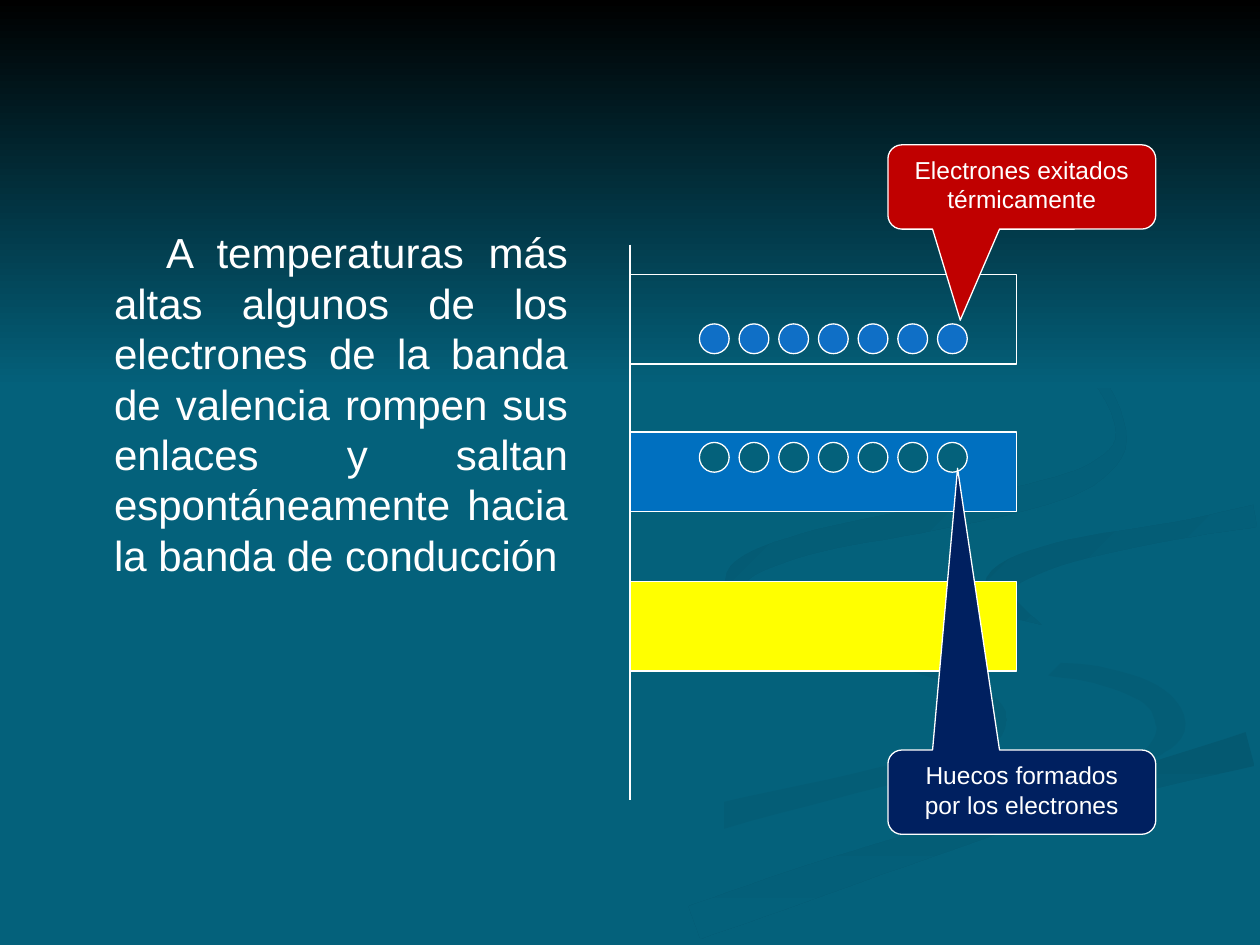
"""Build a slide on thermally excited electrons in the energy bands of a solid."""
from dataclasses import dataclass
from math import hypot

from lxml import etree
from pptx import Presentation
from pptx.dml.color import RGBColor
from pptx.enum.shapes import MSO_CONNECTOR as Connector, MSO_SHAPE as Shape
from pptx.enum.text import MSO_ANCHOR as Anchor, PP_ALIGN as Align
from pptx.oxml.ns import qn
from pptx.util import Cm, Pt

WHITE = RGBColor(0xFF, 0xFF, 0xFF)
BLACK = RGBColor(0x00, 0x00, 0x00)
TEAL = RGBColor(0x04, 0x61, 0x7B)
TEAL_SHADE = RGBColor(0x04, 0x5D, 0x76)
TEAL_DARK = RGBColor(0x04, 0x59, 0x71)
BLUE = RGBColor(0x00, 0x70, 0xC0)
ELECTRON_BLUE = RGBColor(0x0F, 0x6F, 0xC6)
YELLOW = RGBColor(0xFF, 0xFF, 0x00)
RED = RGBColor(0xC0, 0x00, 0x00)
NAVY = RGBColor(0x00, 0x20, 0x60)

RIGHTWARD, DIAGONAL, DOWNWARD = 0, 315, 270
STEPS_PER_KNOT = 6
UNITS_PER_CM = 100


@dataclass
class Ribbon:
    start_color: RGBColor
    end_color: RGBColor
    angle: int
    knots: tuple  # (x, y, thickness) along the centre line, in centimetres


LOWER_RIBBON = Ribbon(TEAL, TEAL_SHADE, RIGHTWARD, (
    (14.6, 11.7, 0), (14.7, 12.2, 0.1), (16.3, 12.9, 0.15), (18.2, 13.4, 0.15),
    (19.6, 13.9, 0.2), (20.1, 14.5, 0.4), (19.4, 15.2, 0.4), (17.2, 15.8, 0.4),
    (14, 16.6, 0.55), (11.2, 17.6, 0.7), (9, 18.5, 0.6)))
CURL_RIBBON = Ribbon(TEAL, TEAL_SHADE, DIAGONAL, (
    (18.4, 11.8, 0), (19.2, 12.7, 0.15), (20.8, 13.4, 0.25), (22.1, 13.6, 0.35),
    (23.2, 14, 0.45), (23.6, 14.6, 0.6), (23.3, 15.1, 0.3), (22.7, 15.4, 0)))
SWEEP_RIBBON = Ribbon(TEAL_DARK, TEAL, DOWNWARD, (
    (25.2, 15.1, 0.7), (21.6, 16.1, 0.45), (18.1, 17.2, 0.6), (16, 17.9, 0.7),
    (14, 18.6, 0.7)))
EDGE_RIBBON = Ribbon(TEAL_DARK, TEAL, DIAGONAL, (
    (25.3, 10.4, 0.45), (23.7, 10.7, 0.35), (21.6, 11.1, 0.45), (20.3, 11.6, 0.55),
    (20.2, 12.1, 0.5), (21, 12.6, 0)))
UPPER_RIBBON = Ribbon(TEAL_DARK, TEAL, DIAGONAL, (
    (19.4, 5.9, 0), (21.8, 7.3, 0.2), (22.6, 8.7, 0.2), (22.1, 9.5, 0.4),
    (20.8, 10, 0.5), (18.5, 10.5, 0.5), (16.5, 10.9, 0.45), (15.1, 11.4, 0.45),
    (14.9, 11.9, 0.4), (15.8, 12.7, 0)))
RIBBONS = (LOWER_RIBBON, CURL_RIBBON, SWEEP_RIBBON, EDGE_RIBBON, UPPER_RIBBON)


def spline(before, start, end, after, t):
    return 0.5 * (2 * start + (end - before) * t
                  + (2 * before - 5 * start + 4 * end - after) * t ** 2
                  + (3 * start - before - 3 * end + after) * t ** 3)


def smooth(knots):
    padded = (knots[0], *knots, knots[-1])
    curve = [tuple(spline(*values, step / STEPS_PER_KNOT) for values in zip(*window))
             for window in zip(padded, padded[1:], padded[2:], padded[3:])
             for step in range(STEPS_PER_KNOT)]
    return curve + [knots[-1]]


def ribbon_outline(knots):
    curve = smooth(knots)
    left_edge, right_edge = [], []
    for before, (x, y, thickness), after in zip(curve[:1] + curve, curve, curve[1:] + curve[-1:]):
        run, rise = after[0] - before[0], after[1] - before[1]
        half = max(thickness, 0) / 2 / hypot(run, rise)
        left_edge.append((x - rise * half, y + run * half))
        right_edge.append((x + rise * half, y - run * half))
    return [(round(x * UNITS_PER_CM), round(y * UNITS_PER_CM))
            for x, y in left_edge + right_edge[::-1]]


class BandSlide:
    font_name = "Arial"
    line_width = Pt(0.75)
    band_left, band_width = 12.7, 7.8
    particle_left, particle_size, particle_pitch = 14.1, 0.6, 0.8

    def __init__(self, slide):
        self.shapes = slide.shapes
        fill = slide.background.fill
        fill.solid()
        fill.fore_color.rgb = TEAL

    def paint(self, shape, color):
        shape.shadow.inherit = False
        if color is None:
            shape.fill.background()
        else:
            shape.fill.solid()
            shape.fill.fore_color.rgb = color
        shape.line.color.rgb = WHITE
        shape.line.width = self.line_width

    def blend(self, shape, start_color, end_color, angle):
        shape.shadow.inherit = False
        shape.line.fill.background()
        shape.fill.gradient()
        shape.fill.gradient_angle = angle
        for stop, color, position in zip(
                shape.fill.gradient_stops, (start_color, end_color), (0, 1)):
            stop.color.rgb = color
            stop.position = position

    def ribbon(self, ribbon):
        first, *others = ribbon_outline(ribbon.knots)
        builder = self.shapes.build_freeform(*first, scale=Cm(1) / UNITS_PER_CM)
        builder.add_line_segments(others, close=True)
        self.blend(builder.convert_to_shape(),
                   ribbon.start_color, ribbon.end_color, ribbon.angle)

    def sky(self, width, height):
        shape = self.shapes.add_shape(Shape.RECTANGLE, 0, 0, width, height)
        self.blend(shape, BLACK, TEAL, DOWNWARD)

    def style_text(self, paragraph, size, alignment):
        paragraph.alignment = alignment
        for run in paragraph.runs:
            run.font.name = self.font_name
            run.font.size = Pt(size)
            run.font.color.rgb = WHITE

    def body(self, text, left, top, width, height):
        text_frame = self.shapes.add_textbox(left, top, width, height).text_frame
        text_frame.word_wrap = True
        text_frame.text = text
        paragraph = text_frame.paragraphs[0]
        properties = paragraph._p.get_or_add_pPr()
        properties.set("marL", str(Cm(0.95)))
        properties.set("indent", str(Cm(1.05)))
        paragraph.line_spacing = Pt(28.8)
        self.style_text(paragraph, 24, Align.JUSTIFY)

    def axis(self, top, bottom):
        x = Cm(self.band_left)
        connector = self.shapes.add_connector(Connector.STRAIGHT, x, top, x, bottom)
        connector.line.color.rgb = WHITE
        connector.line.width = self.line_width
        etree.SubElement(connector._element.spPr, qn("a:effectLst"))

    def band(self, top, height, color):
        shape = self.shapes.add_shape(
            Shape.RECTANGLE, Cm(self.band_left), top, Cm(self.band_width), height)
        self.paint(shape, color)

    def particles(self, top, color, count=7):
        size = Cm(self.particle_size)
        for index in range(count):
            left = Cm(self.particle_left + index * self.particle_pitch)
            self.paint(self.shapes.add_shape(Shape.OVAL, left, top, size, size), color)

    def callout(self, text, top, color, tip):
        shape = self.shapes.add_shape(
            Shape.ROUNDED_RECTANGULAR_CALLOUT, Cm(17.9), top, Cm(5.4), Cm(1.7))
        shape.adjustments[0], shape.adjustments[1] = tip
        self.paint(shape, color)
        text_frame = shape.text_frame
        text_frame.word_wrap = True
        text_frame.margin_left = text_frame.margin_right = Cm(0.3)
        text_frame.vertical_anchor = Anchor.TOP
        text_frame.text = text
        self.style_text(text_frame.paragraphs[0], 14, Align.CENTER)


def main():
    presentation = Presentation()
    presentation.slide_width, presentation.slide_height = Cm(25.4), Cm(19.05)
    page = BandSlide(presentation.slides.add_slide(presentation.slide_layouts[6]))

    for ribbon in RIBBONS:
        page.ribbon(ribbon)
    page.sky(presentation.slide_width, Cm(7.82))
    page.body("A temperaturas más altas algunos de los electrones de la banda de valencia "
              "rompen sus enlaces y saltan espontáneamente hacia la banda de conducción",
              Cm(1.1), Cm(4.45), Cm(10.6), Cm(12.4))
    page.axis(Cm(4.93), Cm(16.13))
    for top, height, color in ((5.54, 1.8, None), (8.71, 1.6, BLUE), (11.73, 1.8, YELLOW)):
        page.band(Cm(top), Cm(height), color)
    for top, color in ((6.53, ELECTRON_BLUE), (8.92, TEAL)):
        page.particles(Cm(top), color)
    page.callout("Electrones exitados térmicamente", Cm(2.92), RED, (-0.23, 1.58))
    page.callout("Huecos formados por los electrones", Cm(15.12), NAVY, (-0.24, -3.84))
    presentation.save("out.pptx")


if __name__ == "__main__":
    main()
